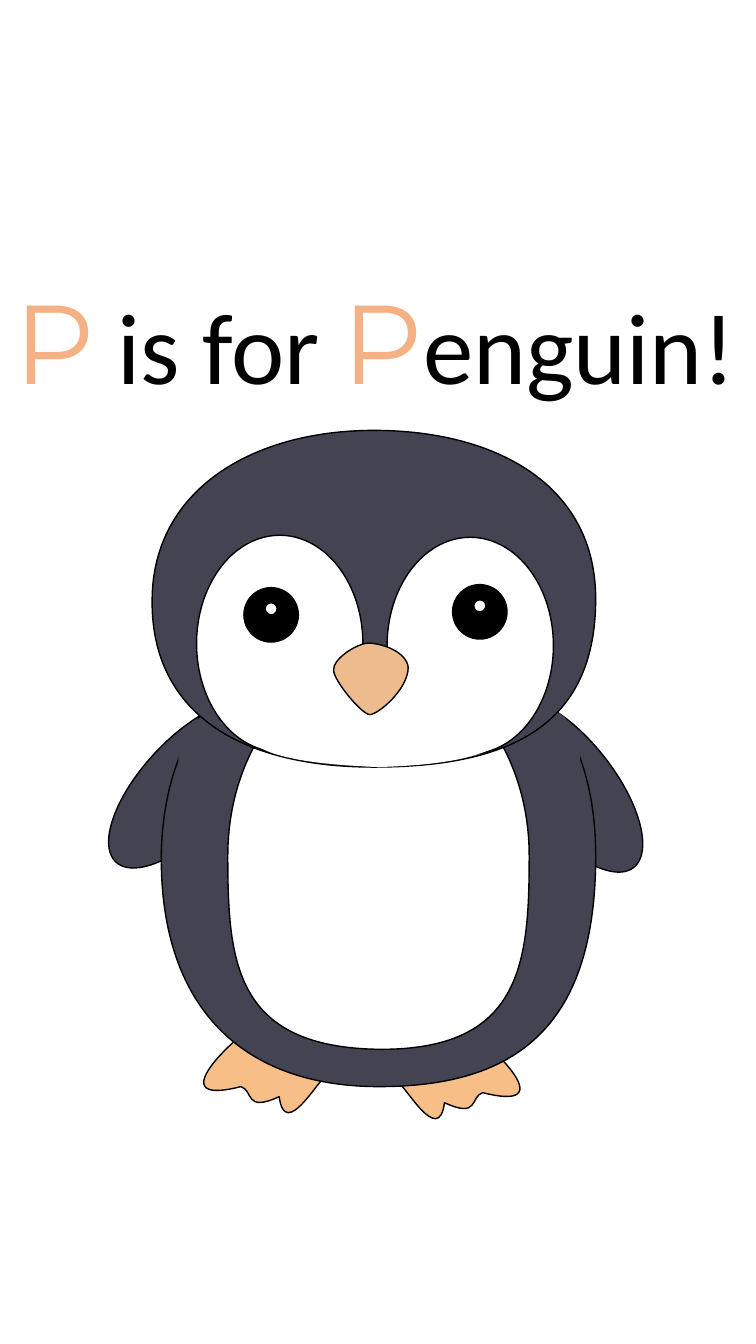
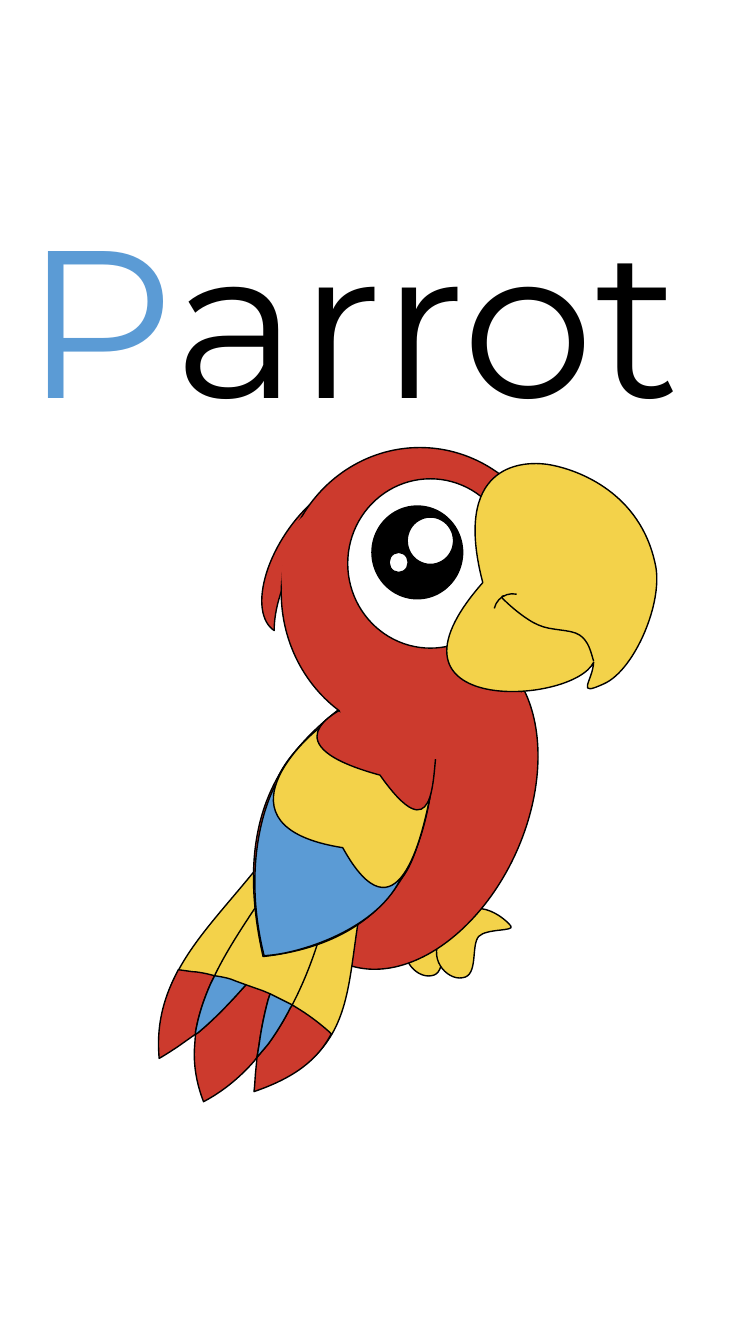
from dataclasses import dataclass
from typing import Optional, Union

from lxml.etree import SubElement
from pptx import Presentation
from pptx.dml.color import RGBColor
from pptx.enum.shapes import MSO_SHAPE
from pptx.enum.text import MSO_ANCHOR, MSO_AUTO_SIZE, PP_ALIGN
from pptx.oxml.ns import qn
from pptx.util import Pt

COLORS = {
    "black": "000000", "white": "FFFFFF", "peach": "F4B183", "blue": "5B9BD5",
    "slate": "444352", "foot": "F8BE87", "bill": "EDBB8C",
    "red": "CC3A2D", "yellow": "F3D24A",
}
GRID = 0.72  # points per unit of the drawings
CURVE_STEPS = 16  # samples per curve when measuring an outline
SLIDE_WIDTH, SLIDE_HEIGHT = Pt(540), Pt(960)

# A path is a start point, then lines (x, y) and Bezier curves (six numbers)
Path = list[tuple[float, ...]]


@dataclass
class Preset:
    kind: MSO_SHAPE
    box: tuple[float, float, float, float]
    fill: Optional[str]
    outlined: bool = True
    rot: float = 0


@dataclass
class Outline:
    points: Path
    fill: Optional[str]
    outlined: bool = True
    closed: bool = True


@dataclass
class Letters:
    text: str
    size: float
    font: str
    color: str = "black"
    outlined: bool = False


Part = Union[Preset, Outline]


# Geometry
def grid(value: float) -> int:
    return Pt(value * GRID)


def shifted(points: Path, dx: float, dy: float, sx: int = 1) -> Path:
    """Move a path; sx=-1 also mirrors it left to right."""
    return [tuple(dy + v if i % 2 else dx + sx * v for i, v in enumerate(seg))
            for seg in points]


def sampled(points: Path) -> Path:
    dots = [points[0]]
    for seg in points[1:]:
        if len(seg) == 2:
            dots.append(seg)
            continue
        (x0, y0), (x1, y1, x2, y2, x3, y3) = dots[-1], seg
        for step in range(1, CURVE_STEPS + 1):
            t = step / CURVE_STEPS
            a, b, c, d = (1 - t) ** 3, 3 * t * (1 - t) ** 2, 3 * t * t * (1 - t), t ** 3
            dots.append((a * x0 + b * x1 + c * x2 + d * x3,
                         a * y0 + b * y1 + c * y2 + d * y3))
    return dots


# Drawing
def add_outline(shapes, outline: Outline):
    """A freeform sized by its samples, then drawn with true curves."""
    dots = [(grid(x), grid(y)) for x, y in sampled(outline.points)]
    builder = shapes.build_freeform(*dots[0])
    builder.add_line_segments(dots[1:], close=outline.closed)
    sp = builder.convert_to_shape()
    contour = sp._element.spPr.find(".//" + qn("a:path"))
    for child in list(contour):
        contour.remove(child)
    for i, seg in enumerate(outline.points):
        tag = "a:moveTo" if i == 0 else "a:lnTo" if len(seg) == 2 else "a:cubicBezTo"
        command = SubElement(contour, qn(tag))
        for x, y in zip(seg[::2], seg[1::2]):
            SubElement(command, qn("a:pt"),
                       x=str(grid(x) - sp.left), y=str(grid(y) - sp.top))
    if outline.closed:
        SubElement(contour, qn("a:close"))
    return sp


def draw_part(shapes, part: Part) -> None:
    if isinstance(part, Preset):
        sp = shapes.add_shape(part.kind, *(grid(v) for v in part.box))
        sp.rotation = part.rot
    else:
        sp = add_outline(shapes, part)
    sp.shadow.inherit = False
    if part.fill:
        sp.fill.solid()
        sp.fill.fore_color.rgb = RGBColor.from_string(COLORS[part.fill])
    else:
        sp.fill.background()
    if part.outlined:
        sp.line.color.rgb = RGBColor.from_string(COLORS["black"])
        sp.line.width = Pt(1)
    else:
        sp.line.fill.background()


def add_letters(p, text: str, *, size: float, font: str, color: str,
                outlined: bool) -> None:
    r = p.add_run()
    r.text = text
    r.font.size, r.font.name = Pt(size), font
    if outlined:
        ln = SubElement(r.font._element, qn("a:ln"), w=str(Pt(0.75)))
        solid = SubElement(ln, qn("a:solidFill"))
        SubElement(solid, qn("a:srgbClr"), val=COLORS["black"])
        r.font._element.insert(0, ln)
    r.font.color.rgb = RGBColor.from_string(COLORS[color])


def add_card(prs, box: tuple[float, ...], align: PP_ALIGN,
             title: list[Letters], parts: list[Part]) -> None:
    """One slide: a big title over a grouped animal drawing."""
    s = prs.slides.add_slide(prs.slide_layouts[5])
    sp = s.shapes.title
    sp.left, sp.top, sp.width, sp.height = (Pt(v) for v in box)
    tf = sp.text_frame
    tf.word_wrap = True
    tf.auto_size = MSO_AUTO_SIZE.SHAPE_TO_FIT_TEXT
    tf.vertical_anchor = MSO_ANCHOR.TOP
    p = tf.paragraphs[0]
    p.alignment = align
    for item in title:
        add_letters(p, item.text, size=item.size, font=item.font,
                    color=item.color, outlined=item.outlined)
    animal = s.shapes.add_group_shape()
    for part in parts:
        draw_part(animal.shapes, part)


def oval(x: float, y: float, w: float, h: float, fill: str,
         outlined: bool = True, rot: float = 0) -> Preset:
    return Preset(MSO_SHAPE.OVAL, (x, y, w, h), fill, outlined, rot)


# Penguin
def penguin_eye(x: float, y: float) -> list[Part]:
    return [oval(x, y, 54, 54, "black"), oval(x + 21, y + 15, 12, 12, "white")]


def penguin() -> list[Part]:
    foot: Path = [
        (259, 1015), (303, 1007), (326, 1065), (317, 1068, 283, 1133, 277, 1088),
        (242, 1104, 252, 1082, 239, 1078), (149, 1101, 251, 1012, 259, 1015)]
    body: Path = [
        (160, 849), (162, 702, 257, 620, 376, 620), (494, 620, 591, 694, 591, 849),
        (591, 1018, 513, 1078, 376, 1078), (238, 1078, 159, 997, 160, 849)]
    belly: Path = [
        (226, 849), (226, 743, 293, 657, 376, 657), (458, 657, 525, 743, 525, 849),
        (525, 955, 518, 1042, 376, 1041), (233, 1039, 226, 955, 226, 849)]
    head: Path = [
        (151, 594), (152, 487, 249, 427, 371, 427), (492, 427, 591, 481, 591, 594),
        (591, 716, 512, 761, 371, 761), (230, 761, 149, 701, 151, 594)]
    chin: Path = [
        (375, 657), (451, 657, 512, 680, 512, 709), (512, 737, 484, 758, 375, 761),
        (254, 756, 239, 737, 239, 709), (239, 680, 300, 657, 375, 657)]
    bill: Path = [
        (331, 665), (330, 654, 353, 639, 365, 638), (378, 638, 403, 646, 405, 662),
        (405, 684, 375, 709, 367, 709), (359, 709, 331, 675, 331, 665)]
    return [
        # Wings, feet and body
        oval(519, 674, 90, 209, "slate", rot=321.8),
        oval(141, 674, 90, 209, "slate", rot=42.7),
        Outline(foot, "foot"),
        Outline(shifted(foot, 718, 6, sx=-1), "foot"),
        Outline(body, "slate"),
        Outline(belly, "white"),
        # Joints that hide the outline between wings and body
        oval(539, 704, 34, 66, "slate", False, 339.9),
        oval(179, 710, 34, 66, "slate", False, 17.7),
        # Head and face
        Outline(head, "slate"),
        oval(384, 533, 165, 215, "white"),
        oval(195, 531, 165, 215, "white"),
        *penguin_eye(449, 580),
        *penguin_eye(242, 583),
        Outline(chin, "white", outlined=False),
        Outline(bill, "bill"),
    ]


# Parrot
def parrot_tail() -> list[Part]:
    left: Path = [
        (384, 816), (366, 787), (324, 836, 258, 957, 254, 1081),
        (384, 1036, 325, 942, 384, 816)]
    right: Path = [
        (303, 792), (337, 787), (326, 851, 264, 990, 160, 1047),
        (149, 946, 240, 902, 303, 792)]
    middle: Path = [
        (308, 815), (341, 821), (330, 885, 308, 1033, 203, 1091),
        (168, 991, 244, 926, 308, 815)]
    return [Outline(feather, "yellow") for feather in (left, right, middle)]


def parrot_tail_tips() -> list[Part]:
    left: Path = [
        (177, 962), (174, 968), (162, 992, 155, 1018, 158, 1050),
        (165, 1046, 171, 1042, 177, 1038), (194, 1026), (194, 1024),
        (197, 1007, 202, 992, 209, 976), (213, 968), (205, 966),
        (200, 965, 195, 964, 191, 964), (177, 962)]
    middle: Path = [
        (244, 977), (229, 994, 213, 1011, 196, 1025), (194, 1026), (193, 1040),
        (192, 1057, 195, 1075, 202, 1093), (221, 1083, 238, 1069, 252, 1053),
        (255, 1049), (257, 1037), (259, 1022, 262, 1007, 266, 992),
        (268, 986), (261, 983), (244, 977)]
    right: Path = [
        (290, 997), (288, 1000), (282, 1012, 274, 1025, 266, 1036), (255, 1049),
        (254, 1060), (253, 1068, 253, 1076, 252, 1083),
        (293, 1069, 315, 1051, 328, 1027), (329, 1026), (327, 1024),
        (318, 1016, 309, 1009, 298, 1002), (290, 997)]
    left_gap: Path = [
        (213, 968), (209, 976), (202, 992, 197, 1007, 194, 1024), (194, 1026),
        (196, 1025), (213, 1011, 229, 994, 244, 977), (233, 973),
        (229, 971, 224, 970, 219, 969), (213, 968)]
    right_gap: Path = [
        (268, 986), (266, 992), (262, 1007, 259, 1022, 257, 1037), (255, 1049),
        (266, 1036), (274, 1025, 282, 1012, 288, 1000), (290, 997),
        (286, 995), (268, 986)]
    return ([Outline(tip, "red") for tip in (left, middle, right)]
            + [Outline(gap, "blue") for gap in (left_gap, right_gap)])


def parrot() -> list[Part]:
    claw: Path = [
        (444, 927), (452, 919, 479, 922, 476, 917), (473, 912, 435, 875, 409, 925),
        (391, 947, 412, 971, 428, 968), (444, 966, 436, 936, 444, 927)]
    wing_edge: Path = [
        (427, 789), (319, 721), (300, 735, 213, 813, 338, 832),
        (398, 942, 416, 833, 427, 789)]
    wing: Path = [
        (435, 688), (396, 655), (354, 705, 214, 741, 261, 949),
        (426, 930, 431, 799, 435, 688)]
    blue_band: Path = [
        (273, 779), (255, 815, 244, 876, 262, 948),
        (295, 947, 377, 922, 399, 868), (273, 779)]
    yellow_band: Path = [
        (426, 793), (323, 718), (306, 727, 206, 820, 340, 841),
        (394, 939, 419, 828, 426, 793)]
    red_band: Path = [
        (433, 745), (346, 700), (333, 706, 267, 739, 377, 769),
        (432, 847, 429, 772, 433, 745)]
    beak: Path = [
        (600, 678), (630, 664, 659, 596, 650, 559), (635, 489, 574, 466, 545, 461),
        (515, 456, 449, 463, 479, 578), (362, 711, 568, 700, 589, 657),
        (588, 676, 570, 692, 600, 678)]
    mouth: Path = [
        (589, 656), (586, 646, 584, 636, 575, 630), (566, 624, 547, 626, 534, 620),
        (522, 615, 506, 601, 501, 596), (495, 591, 500, 591, 500, 591)]
    return [
        # Crest, claws and body
        Preset(MSO_SHAPE.MOON, (280, 454, 44, 174), "red", rot=33.7),
        Outline(claw, "yellow"),
        Outline(shifted(claw, 31, 2), "yellow"),
        oval(297, 629, 225, 341, "red", rot=24.3),
        Outline(wing_edge, None),
        *parrot_tail(),
        # Wing with its bands
        Outline(wing, "red"),
        Outline(blue_band, "blue"),
        Outline(yellow_band, "yellow"),
        Outline(red_band, "red"),
        # Head and eye
        oval(279, 444, 275, 288, "red"),
        oval(345, 475, 164, 168, "white"),
        oval(369, 502, 90, 92, "black"),
        oval(404, 513, 46, 47, "white"),
        oval(386, 548, 19, 20, "white"),
        oval(337, 647, 183, 106, "red", outlined=False),
        # Beak
        Outline(beak, "yellow"),
        Outline(mouth, None, closed=False),
        Preset(MSO_SHAPE.ARC, (490, 589, 37, 37), None, rot=282.5),
        Preset(MSO_SHAPE.MOON, (282, 508, 15, 86), "red", False, 13.1),
        *parrot_tail_tips(),
    ]


def main() -> None:
    prs = Presentation()
    prs.slide_width, prs.slide_height = SLIDE_WIDTH, SLIDE_HEIGHT
    big_p = Letters("P", 80, "Montserrat", "peach", True)
    add_card(prs, (-60, 191, 672, 104), PP_ALIGN.CENTER,
             [big_p, Letters(" is for ", 72, "Calibri"),
              big_p, Letters("enguin! ", 72, "Calibri")], penguin())
    add_card(prs, (10, 131, 535, 189), PP_ALIGN.LEFT,
             [Letters("P", 150, "Montserrat", "blue", True),
              Letters("arrot", 150, "Montserrat")], parrot())
    prs.save("out.pptx")


if __name__ == "__main__":
    main()
